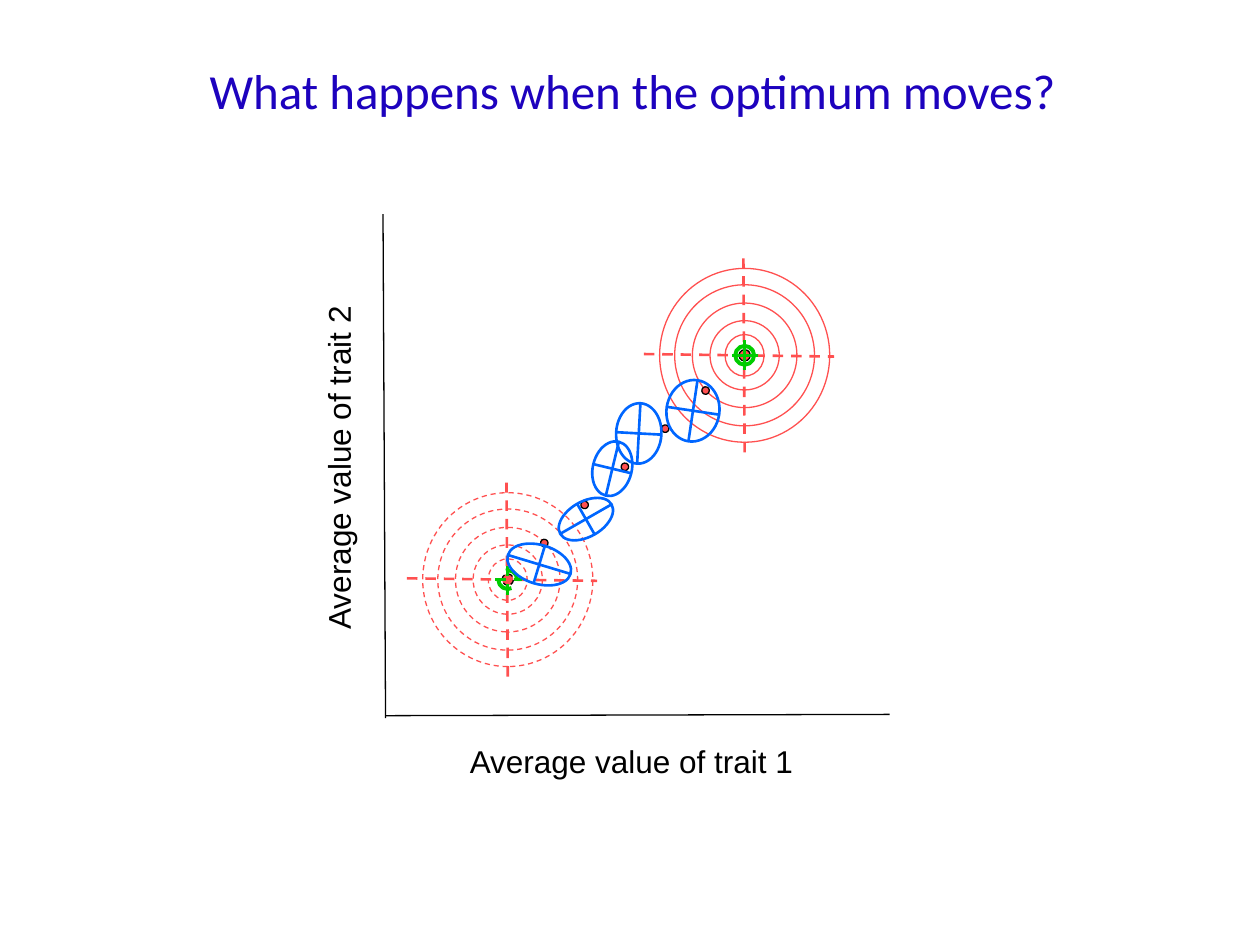
from dataclasses import dataclass
from math import cos, radians, sin

from lxml.etree import SubElement
from pptx import Presentation
from pptx.dml.color import RGBColor as RGB
from pptx.enum.dml import MSO_LINE as Dash
from pptx.enum.shapes import MSO_CONNECTOR as Conn, MSO_SHAPE as Shape
from pptx.enum.text import MSO_ANCHOR as Anchor, MSO_AUTO_SIZE as Fit, PP_ALIGN as Align
from pptx.oxml.ns import qn
from pptx.util import Pt

PX = 9144


@dataclass(frozen=True)
class Theme:
    """Colours, fonts and type sizes."""
    red: str = "FF5050"
    green: str = "00CC00"
    blue: str = "0066FF"
    black: str = "000000"
    title: str = "1D02BE"
    head: str = "Calibri"
    body: str = "Arial"
    big: int = 28
    small: int = 18
    thin: float = 0.75
    mid: float = 1.5
    thick: float = 2.25


T = Theme()


def emu(*vals):
    """Turn px into whole EMU."""
    return [round(v * PX) for v in vals]


def pen(line, color, width, dash):
    """Style an outline."""
    line.color.rgb = RGB.from_string(color)
    line.width = Pt(width)
    if dash:
        line.dash_style = Dash.DASH


def rule(slide, x1, y1, x2, y2, color, width, dash=False):
    """Draw a straight line."""
    part = slide.shapes.add_connector(Conn.STRAIGHT, *emu(x1, y1, x2, y2))
    pen(part.line, color, width, dash)
    SubElement(part._element.spPr, qn("a:effectLst"))


def oval(slide, x, y, w, h, color, width, turn=0, fill=None, dash=False):
    """Draw an ellipse about the centre x, y."""
    part = slide.shapes.add_shape(Shape.OVAL, *emu(x - w / 2, y - h / 2, w, h))
    part.shadow.inherit = False
    part.rotation = turn
    if fill:
        part.fill.solid()
        part.fill.fore_color.rgb = RGB.from_string(fill)
    else:
        part.fill.background()
    pen(part.line, color, width, dash)


def style(para, name, size, color):
    """Format the runs of a paragraph."""
    for run in para.runs:
        run.font.name = name
        run.font.size = Pt(size)
        run.font.color.rgb = RGB.from_string(color)


def target(slide, x, y, dash):
    """Draw rings, cross hairs and the optimum in the box at x, y."""
    cx, cy = x + 80, y + 77
    rule(slide, cx, y + 154, cx - 1, y, T.red, T.mid, True)
    for w, h in ((33, 31), (55, 55), (83, 83), (112, 111), (138, 135)):
        oval(slide, cx, cy, w, h, T.red, T.thin, 271.9 if w < 138 else 270, dash=dash)
    rule(slide, x, y + 76, x + 151, y + 78, T.red, T.mid, True)
    oval(slide, cx, cy, 9, 9, T.black, T.thin, 270, T.red, dash)
    oval(slide, cx, cy, 15, 15, T.green, T.thick, 270, dash=dash)
    rule(slide, cx, cy + 12, cx, cy - 12, T.green, T.mid, dash)
    rule(slide, cx - 10, cy, cx + 11, cy, T.green, T.mid, dash)


def cloud(slide, x, y, w, h, turn):
    """Draw a tilted ellipse with both of its axes."""
    oval(slide, x, y, w, h, T.blue, T.mid, turn)
    for size, angle in ((w, turn), (h, turn + 90)):
        dx = size / 2 * cos(radians(angle))
        dy = size / 2 * sin(radians(angle))
        rule(slide, x - dx, y - dy, x + dx, y + dy, T.blue, T.mid)


def label(slide, x, y, text, turn=0):
    """Write an axis label."""
    box = slide.shapes.add_textbox(*emu(x, y, 279, 40))
    box.rotation = turn
    frame = box.text_frame
    frame.word_wrap = False
    frame.text = text
    style(frame.paragraphs[0], T.body, T.small, T.black)


def plot(slide, x, y):
    """Draw the trait plot with its top left corner at x, y."""
    target(slide, x + 19, y + 213, True)
    target(slide, x + 207, y + 35, False)
    for i in range(5):
        oval(slide, x + 128 + 32 * i, y + 261 - 30.25 * i, 6, 6,
             T.black, T.thin, 352, T.red)
    for cx, cy, w, h, turn in (
        (124, 278, 31, 52, 286.8),
        (161, 242, 28, 47, 240.2),
        (182, 202, 44, 31, 283.6),
        (246, 156, 49, 42, 278.5),
        (203, 174, 48, 36, 273.1),
    ):
        cloud(slide, x + cx, y + cy, w, h, turn)
    rule(slide, x, y, x + 2, y + 400, T.black, T.thin)
    rule(slide, x + 2, y + 398, x + 402, y + 397, T.black, T.thin)
    label(slide, x + 59, y + 414, "Average value of trait 1")
    label(slide, x - 175, y + 180, "Average value of trait 2", 270)


def heading(slide, x, y, w, h, text):
    """Place the title in the given box."""
    part = slide.shapes.title
    part.left, part.top, part.width, part.height = emu(x, y, w, h)
    frame = part.text_frame
    frame.text = text
    frame.word_wrap = True
    frame.auto_size = Fit.NONE
    frame.vertical_anchor = Anchor.TOP
    para = frame.paragraphs[0]
    para.alignment = Align.CENTER
    style(para, T.head, T.big, T.title)


def main():
    """Build and save the slide."""
    deck = Presentation()
    deck.slide_width, deck.slide_height = emu(1000, 750)
    slide = deck.slides.add_slide(deck.slide_layouts[5])
    plot(slide, 304, 170)
    heading(slide, 116, 43, 772, 57, "What happens when the optimum moves?")
    deck.save("out.pptx")


if __name__ == "__main__":
    main()
